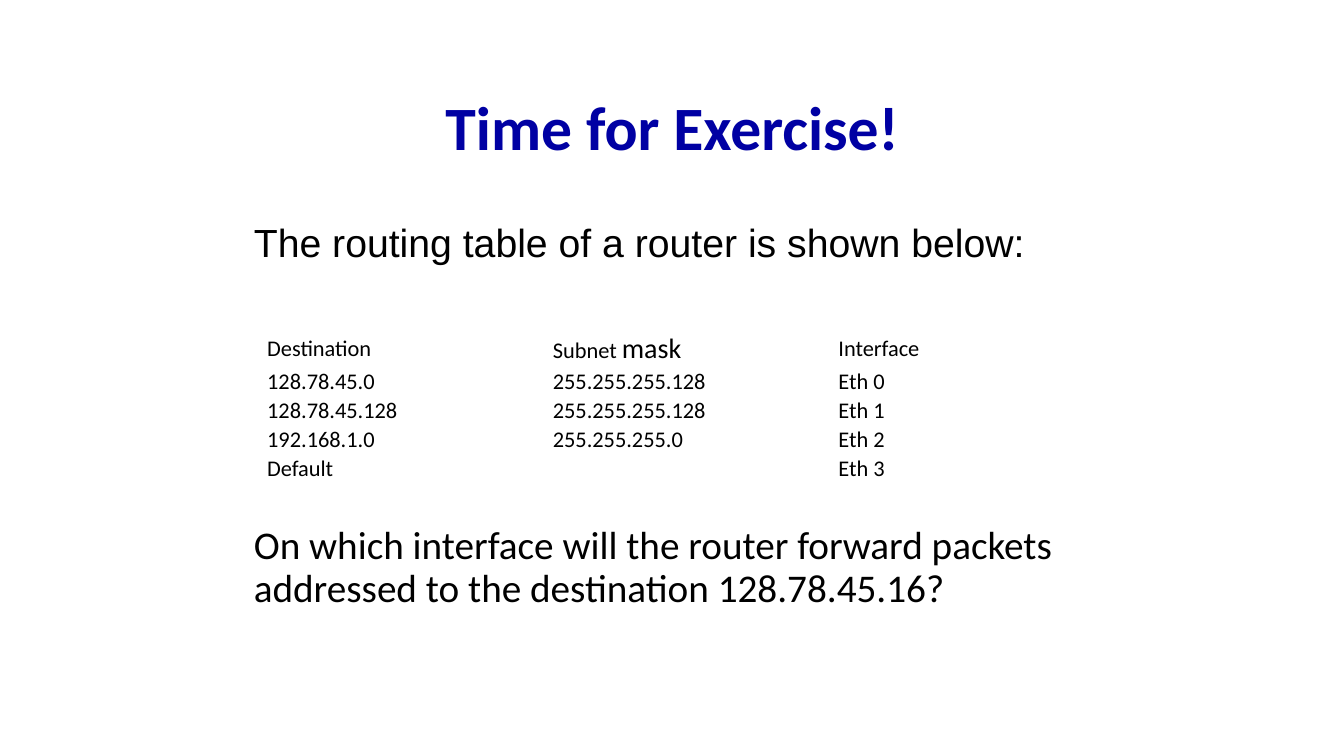
import pptx
import pptx.util
import pptx.dml.color
import pptx.enum.text
from dataclasses import dataclass

TITLE = "Time for Exercise!"
PROMPT = "The routing table of a router is shown below:"
QUESTION = "On which interface will the router forward packets addressed to the destination 128.78.45.16?"
ROUTES = [
    ("Destination", "Subnet |mask", "Interface"),
    ("128.78.45.0", "255.255.255.128", "Eth 0"),
    ("128.78.45.128", "255.255.255.128", "Eth 1"),
    ("192.168.1.0", "255.255.255.0", "Eth 2"),
    ("Default", "", "Eth 3"),
]


@dataclass(frozen=True)
class Theme:
    heading: str = "0000A3"
    ink: str = "000000"
    paper: str = "FFFFFF"
    sans: str = "Calibri"
    alt: str = "Arial"
    title: int = 44
    body: int = 28
    cell: int = 16
    accent: int = 20


T = Theme()
Inches, Pt = pptx.util.Inches, pptx.util.Pt
ALIGN, ANCHOR = pptx.enum.text.PP_ALIGN, pptx.enum.text.MSO_ANCHOR
SLIDE_W, SLIDE_H = 13.33, 7.5
LEFT, WIDTH = 2.42, 8.5
TABLE_LEFT, TABLE_TOP = 2.64, 3.28
HEADER_H, ROW_H, CELL_PAD = 0.36, 0.29, 0.01


def rgb(value):
    return pptx.dml.color.RGBColor.from_string(value)


def write(tf, text, sizes, font=T.sans, color=T.ink, bold=False, align=ALIGN.LEFT, spacing=1.0):
    p = tf.paragraphs[0]
    p.alignment, p.line_spacing = align, spacing
    p.font.size, p.font.name = Pt(sizes[0]), font
    for part, size in zip(text.split("|") if text else [], sizes):
        r = p.add_run()
        r.text = part
        r.font.size, r.font.name, r.font.bold = Pt(size), font, bold
        r.font.color.rgb = rgb(color)


def add_text(s, text, top, height, anchor=ANCHOR.TOP, **fmt):
    sp = s.shapes.add_textbox(Inches(LEFT), Inches(top), Inches(WIDTH), Inches(height))
    tf = sp.text_frame
    tf.word_wrap, tf.vertical_anchor = True, anchor
    write(tf, text, spacing=0.9, **fmt)


def add_routes(s):
    heights = [HEADER_H] + [ROW_H] * (len(ROUTES) - 1)
    table = s.shapes.add_table(len(ROUTES), len(ROUTES[0]), Inches(TABLE_LEFT), Inches(TABLE_TOP),
                               Inches(WIDTH), Inches(sum(heights))).table
    table.first_row = table.horz_banding = False
    for row, height, values in zip(table.rows, heights, ROUTES):
        row.height = Inches(height)
        for cell, value in zip(row.cells, values):
            cell.fill.solid()
            cell.fill.fore_color.rgb = rgb(T.paper)
            cell.vertical_anchor = ANCHOR.MIDDLE
            cell.margin_left = cell.margin_right = Inches(CELL_PAD)
            cell.margin_top = cell.margin_bottom = Inches(CELL_PAD)
            write(cell.text_frame, value, (T.cell, T.accent))


def main():
    prs = pptx.Presentation()
    prs.slide_width, prs.slide_height = Inches(SLIDE_W), Inches(SLIDE_H)
    s = prs.slides.add_slide(prs.slide_layouts[6])
    add_text(s, TITLE, 0.67, 1.25, anchor=ANCHOR.MIDDLE, sizes=(T.title,),
             color=T.heading, bold=True, align=ALIGN.CENTER)
    add_text(s, PROMPT, 2.17, 0.5, sizes=(T.body,), font=T.alt)
    add_text(s, QUESTION, 5.17, 1.5, sizes=(T.body,))
    add_routes(s)
    prs.save("out.pptx")


if __name__ == "__main__":
    main()
